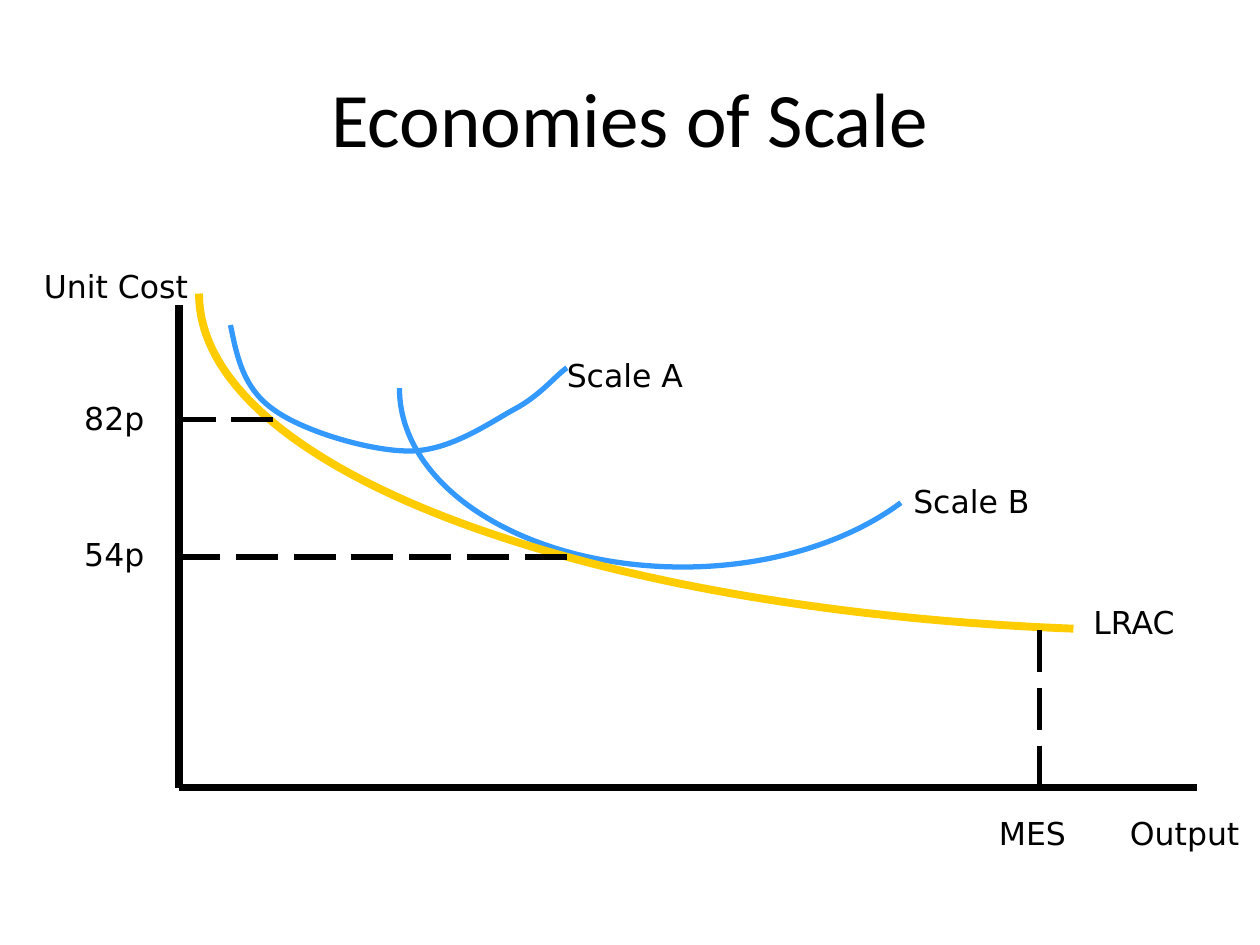
from lxml import etree
from pptx import Presentation
from pptx.dml.color import RGBColor
from pptx.enum.dml import MSO_LINE
from pptx.enum.shapes import MSO_CONNECTOR
from pptx.enum.text import MSO_ANCHOR, MSO_AUTO_SIZE, PP_ALIGN
from pptx.oxml.ns import qn
from pptx.util import Emu, Pt

EMU_PER_PX = 9144  # 100 px to the inch
COLORS = {"ink": "000000", "scale": "3399FF", "lrac": "FFCC00"}
TITLE_FONT, LABEL_FONT = "Calibri", "DejaVu Sans"
AXIS_X, AXIS_Y = 142, 625
LABEL_HEIGHT = 40


def px(length):
    return Emu(length * EMU_PER_PX)


class Diagram:
    """Holds the style and the page being drawn."""

    def __init__(self, page):
        self.page = page

    def add_text(self, frame, text, font, size, align):
        para = frame.paragraphs[0]
        para.alignment = align
        span = para.add_run()
        span.text = text
        span.font.name = font
        span.font.size = Pt(size)
        span.font.color.rgb = RGBColor.from_string(COLORS["ink"])

    def title(self, text, left, top, width, height):
        box = self.page.shapes.title
        box.left, box.top, box.width, box.height = map(px, (left, top, width, height))
        box.text_frame.vertical_anchor = MSO_ANCHOR.MIDDLE
        self.add_text(box.text_frame, text, TITLE_FONT, 44, PP_ALIGN.CENTER)

    def label(self, text, left, top, width):
        box = self.page.shapes.add_textbox(*map(px, (left, top, width, LABEL_HEIGHT)))
        frame = box.text_frame
        frame.word_wrap = False
        frame.auto_size = MSO_AUTO_SIZE.SHAPE_TO_FIT_TEXT
        self.add_text(frame, text, LABEL_FONT, 18, PP_ALIGN.LEFT)

    def stroke(self, shape, color, weight):
        shape.line.color.rgb = RGBColor.from_string(COLORS[color])
        shape.line.width = Pt(weight)

    def line(self, start, end, weight, dash=None):
        connector = self.page.shapes.add_connector(
            MSO_CONNECTOR.STRAIGHT, *map(px, (*start, *end)))
        self.stroke(connector, "ink", weight)
        if dash:
            connector.line.dash_style = dash
        etree.SubElement(connector.element.spPr, qn("a:effectLst"))

    def curve(self, points, color, weight):
        """Draw cubic Béziers: a start, then two controls and an end for each."""
        start, *rest = points
        builder = self.page.shapes.build_freeform(*start, scale=EMU_PER_PX)
        builder.add_line_segments(rest, close=False)
        shape = builder.convert_to_shape()
        segments = list(shape.element.iter(qn("a:lnTo")))
        for first in range(0, len(segments), 3):
            bezier = etree.Element(qn("a:cubicBezTo"))
            segments[first].addprevious(bezier)
            for segment in segments[first:first + 3]:
                bezier.append(segment[0])
                segment.getparent().remove(segment)
        shape.shadow.inherit = False
        shape.fill.background()
        self.stroke(shape, color, weight)


def main():
    deck = Presentation()
    deck.slide_width, deck.slide_height = px(1000), px(750)
    diagram = Diagram(deck.slides.add_slide(deck.slide_layouts[5]))
    diagram.title("Economies of Scale", 50, 30, 900, 125)

    diagram.line((AXIS_X, 242), (AXIS_X, AXIS_Y), 4.5)
    diagram.line((AXIS_X, AXIS_Y), (950, AXIS_Y), 4.5)

    scale_a = [(183, 258), (188, 283), (193, 308), (217, 325),
               (240, 342), (293, 358), (325, 358),
               (357, 358), (388, 336), (408, 325),
               (429, 314), (442, 297), (450, 292)]
    scale_b = [(715, 399), (672, 431), (609, 450), (542, 450),
               (417, 450), (317, 387), (317, 308)]
    lrac = [(852, 499), (457, 484), (158, 370), (158, 233)]
    diagram.curve(scale_a, "scale", 3)
    diagram.curve(scale_b, "scale", 3)
    diagram.curve(lrac, "lrac", 4.5)

    guides = [((825, 500), (825, AXIS_Y)),
              ((217, 333), (AXIS_X, 333)),
              ((450, 442), (AXIS_X, 442))]
    for start, end in guides:
        diagram.line(start, end, 3, MSO_LINE.LONG_DASH)

    labels = [("Unit Cost", 25, 207, 135), ("Output", 887, 641, 107),
              ("Scale A", 440, 278, 113), ("Scale B", 715, 378, 113),
              ("LRAC", 858, 474, 86), ("MES", 783, 641, 74),
              ("82p", 57, 312, 68), ("54p", 57, 420, 68)]
    for label in labels:
        diagram.label(*label)

    deck.save("out.pptx")


if __name__ == "__main__":
    main()
